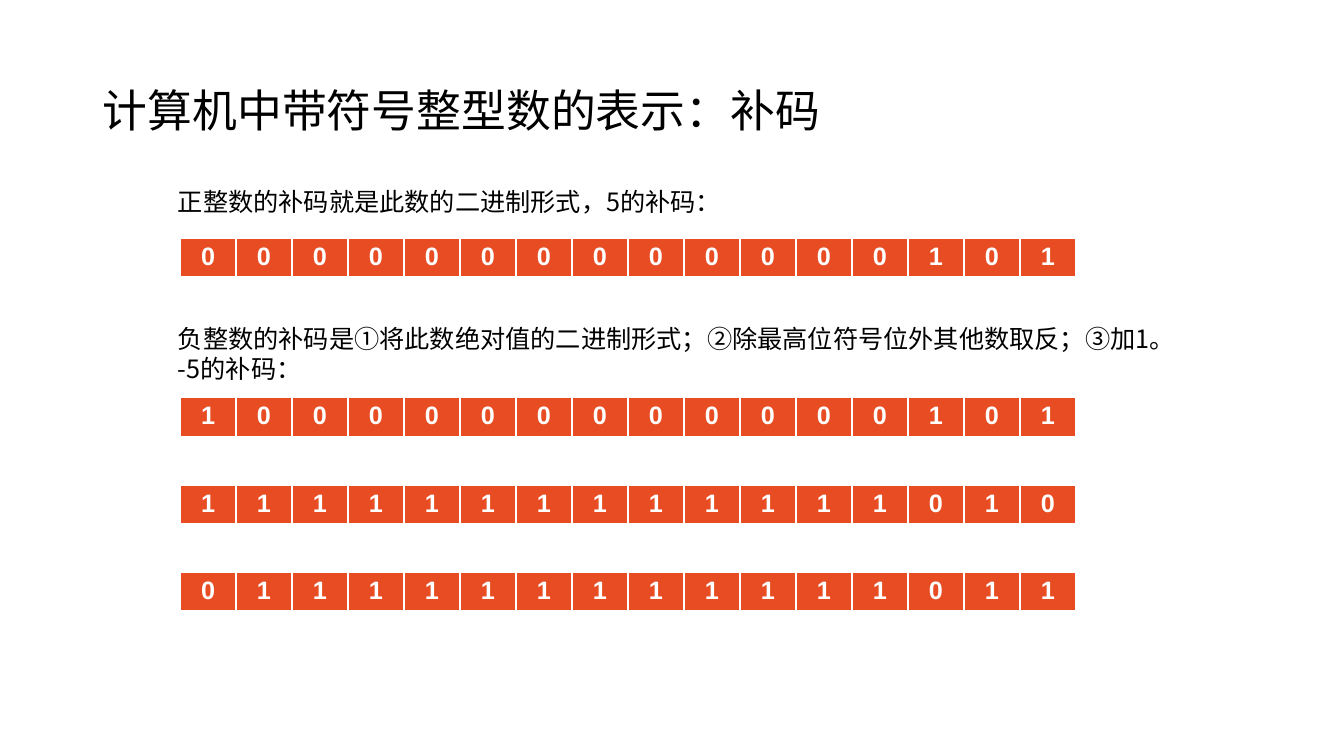
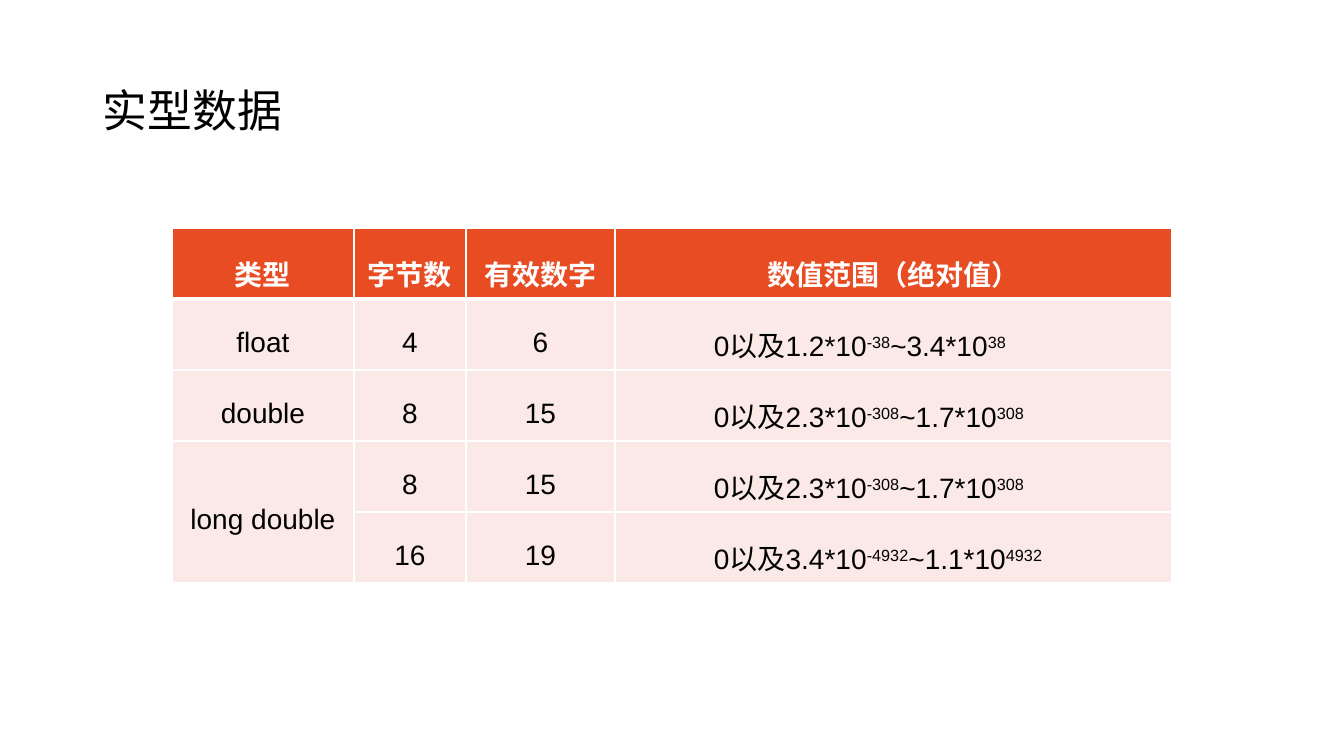
from lxml.etree import SubElement
from pptx import Presentation
from pptx.dml.color import RGBColor
from pptx.enum.text import MSO_ANCHOR, PP_ALIGN
from pptx.oxml.ns import qn
from pptx.util import Emu, Pt

HUE = {"ink": "000000", "paper": "FFFFFF", "head": "E84C22", "body": "FBE9E8"}
CJK, LATIN = "Noto Sans CJK SC", "Arial"

# Content: title, then notes (box, lines) and bit rows (top, bits)
BITS = {
    "title": "计算机中带符号整型数的表示：补码",
    "notes": [
        ((168, 181, 950, 40), ["正整数的补码就是此数的二进制形式，5的补码："]),
        ((168, 318, 1051, 72), [
            "负整数的补码是①将此数绝对值的二进制形式；②除最高位符号位外其他数取反；③加1。",
            "-5的补码："]),
    ],
    "rows": [
        (238, "0000000000000101"),
        (397, "1000000000000101"),
        (485, "1111111111111010"),
        (572, "0111111111111011"),
    ],
}
# Each range: low factor, low power, high factor, high power
REAL = {
    "title": "实型数据",
    "head": ["类型", "字节数", "有效数字", "数值范围（绝对值）"],
    "rows": [
        ("float", "4", "6", ("1.2", "-38", "3.4", "38")),
        ("double", "8", "15", ("2.3", "-308", "1.7", "308")),
        ("long double", "8", "15", ("2.3", "-308", "1.7", "308")),
        ("", "16", "19", ("3.4", "-4932", "1.1", "4932")),
    ],
    "cols": [182, 112, 149, 557],
}


def px(n):
    return Emu(round(n * 914400 / 100.8))


def rgb(name):
    return RGBColor.from_string(HUE[name])


def style(para, size, face, hue, bold=False):
    font = para.font
    font.size, font.name, font.bold = Pt(size), face, bold
    font.color.rgb = rgb(hue)
    SubElement(font._element, qn("a:ea")).set("typeface", CJK)


def add_text(slide, box, lines, size, space=1.0, anchor=MSO_ANCHOR.TOP):
    frame = slide.shapes.add_textbox(*map(px, box)).text_frame
    frame.word_wrap = True
    frame.vertical_anchor = anchor
    frame.text = "\n".join(lines)
    for para in frame.paragraphs:
        para.line_spacing = space
        style(para, size, CJK, "ink")


def add_slide(deck, title):
    slide = deck.slides.add_slide(deck.slide_layouts[6])
    add_text(slide, (93, 40, 1159, 146), [title], 32, 0.9, MSO_ANCHOR.MIDDLE)
    return slide


def add_grid(slide, left, top, cols, height, count):
    frame = slide.shapes.add_table(
        count, len(cols), px(left), px(top), px(sum(cols)), px(height * count))
    grid = frame.table
    grid.first_row = grid.horz_banding = False
    for col, width in zip(grid.columns, cols):
        col.width = px(width)
    for row in grid.rows:
        row.height = px(height)
    return grid


def paint(cell, hue, over=1, under=1):
    # White rules go ahead of the fill
    props = cell._tc.get_or_add_tcPr()
    for side, width in zip("LRTB", (1, 1, over, under)):
        line = SubElement(props, qn(f"a:ln{side}"), w=str(Pt(width)))
        fill = SubElement(line, qn("a:solidFill"))
        SubElement(fill, qn("a:srgbClr"), val=HUE["paper"])
    cell.fill.solid()
    cell.fill.fore_color.rgb = rgb(hue)


def add_range(para, parts):
    low, down, high, up = parts
    for text, power in ((f"0以及{low}*10", down), (f"~{high}*10", up)):
        para.add_run().text = text
        run = para.add_run()
        run.text = power
        run.font._element.set("baseline", "30000")


def draw_bits(deck):
    slide = add_slide(deck, BITS["title"])
    for box, lines in BITS["notes"]:
        add_text(slide, box, lines, 18)
    for top, bits in BITS["rows"]:
        grid = add_grid(slide, 180, top, [56] * len(bits), 40, 1)
        for cell, bit in zip(grid.iter_cells(), bits):
            paint(cell, "head", under=3)
            cell.text = bit
            para = cell.text_frame.paragraphs[0]
            para.alignment = PP_ALIGN.CENTER
            style(para, 18, LATIN, "paper", True)


def draw_real(deck):
    slide = add_slide(deck, REAL["title"])
    rows = [REAL["head"], *REAL["rows"]]
    grid = add_grid(slide, 172, 228, REAL["cols"], 71, len(rows))
    for r, row in enumerate(rows):
        head = r == 0
        for c, item in enumerate(row):
            cell = grid.cell(r, c)
            paint(cell, "head" if head else "body",
                  over=3 if r == 1 else 1, under=3 if head else 1)
            cell.vertical_anchor = MSO_ANCHOR.MIDDLE
            para = cell.text_frame.paragraphs[0]
            para.line_spacing = 1.5
            if isinstance(item, tuple):
                para.alignment = PP_ALIGN.JUSTIFY
                cell.margin_left = cell.margin_right = px(99)
                add_range(para, item)
            else:
                para.alignment = PP_ALIGN.CENTER
                if item:
                    para.add_run().text = item
            style(para, 20, LATIN, "paper" if head else "ink", head)
    # The last type covers two rows
    grid.cell(3, 0).merge(grid.cell(4, 0))


def main():
    deck = Presentation()
    deck.slide_width, deck.slide_height = px(1344), px(756)
    draw_bits(deck)
    draw_real(deck)
    deck.save("out.pptx")


if __name__ == "__main__":
    main()
